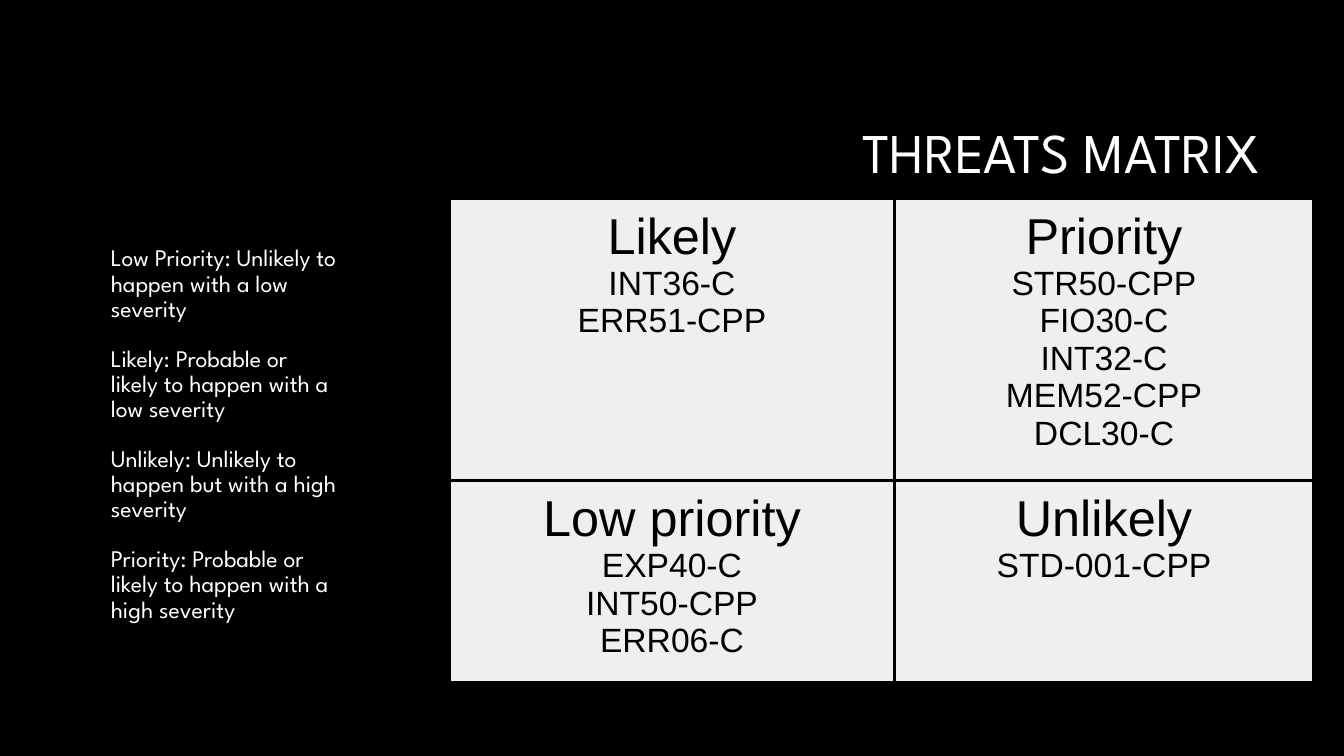
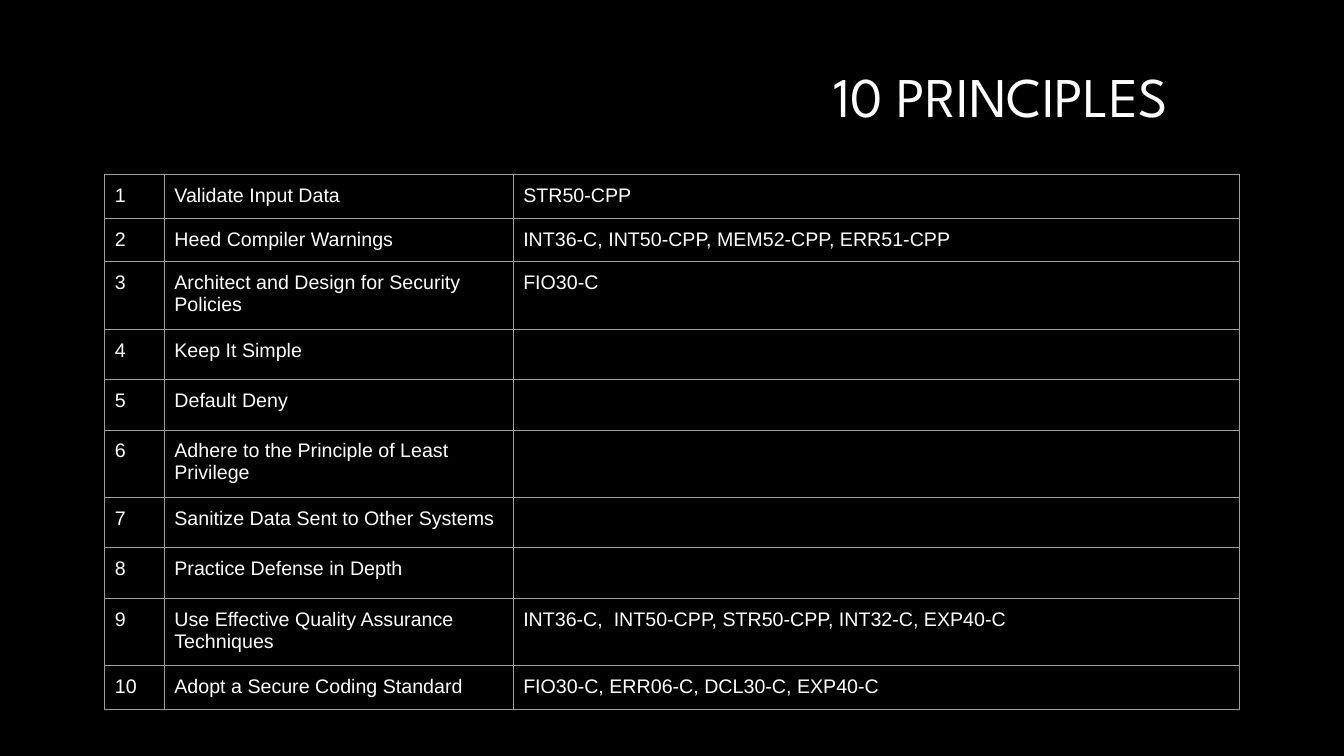
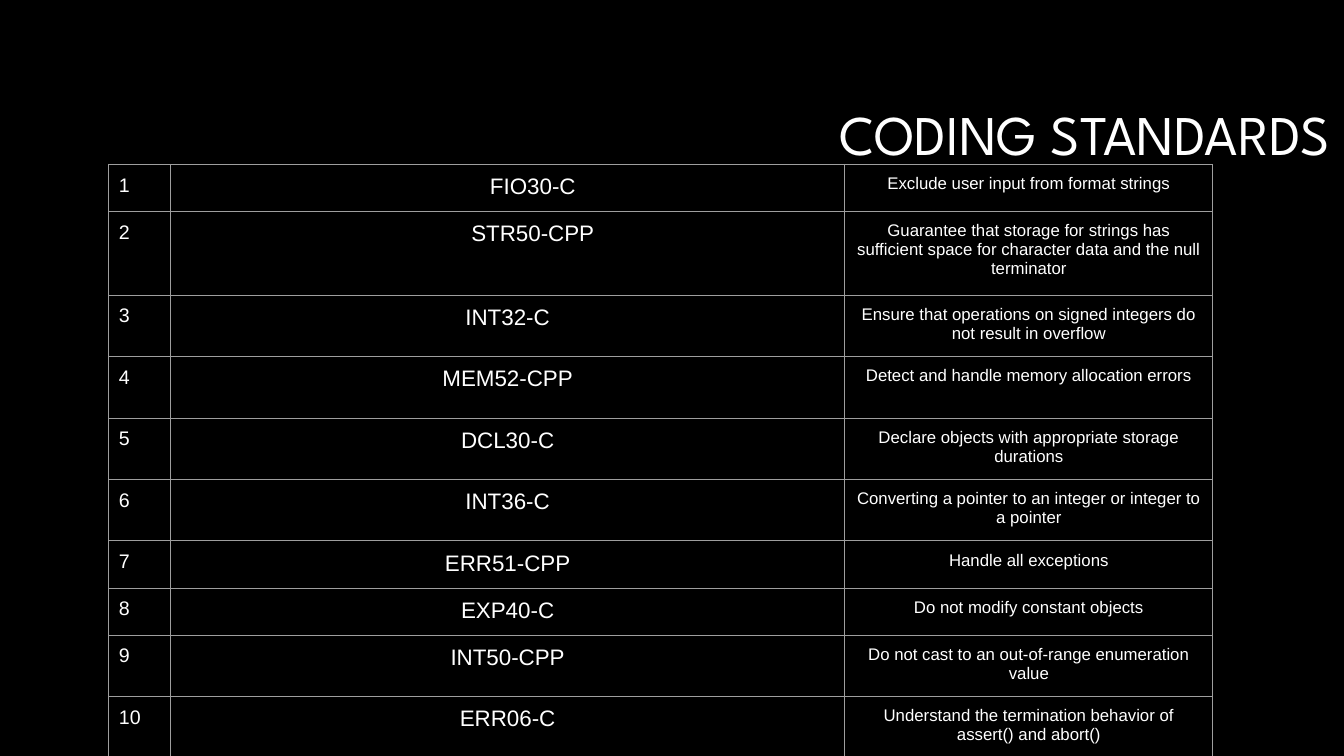
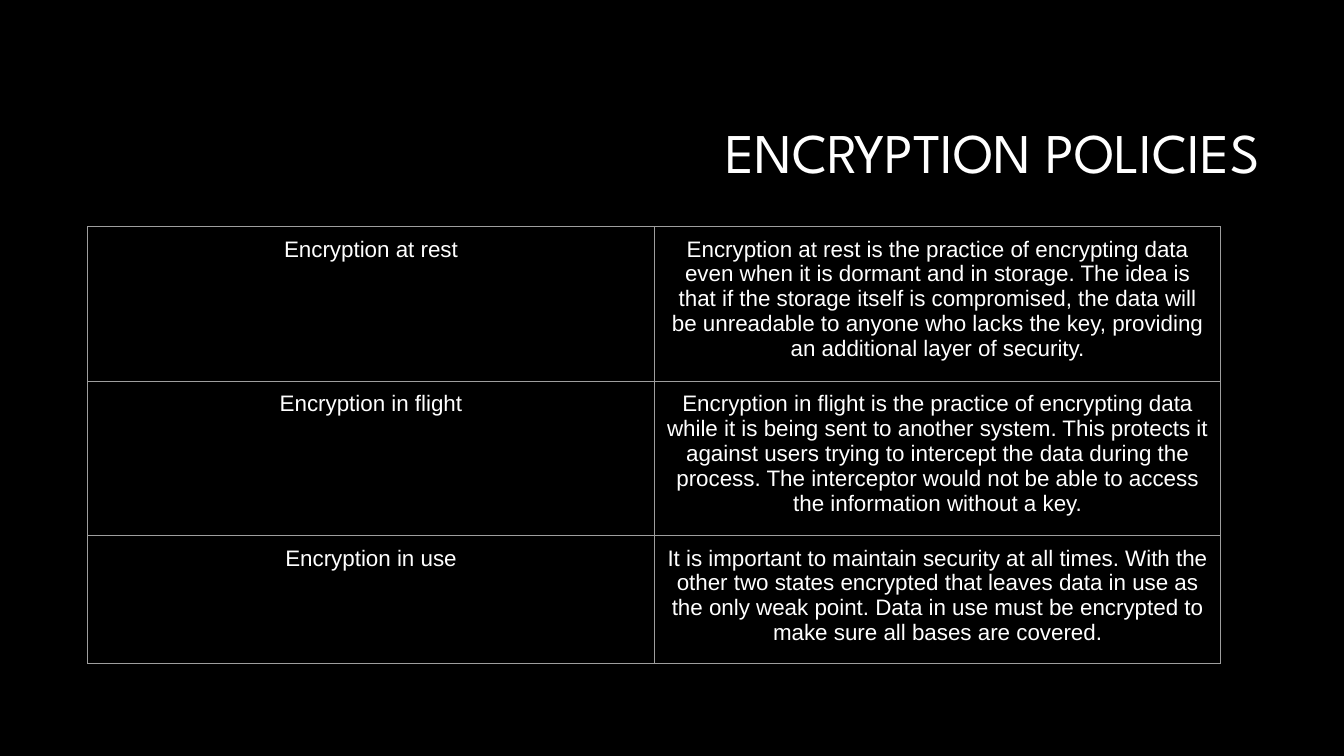
"""Build a four-slide deck on secure coding threats, rules and encryption."""
from dataclasses import dataclass
from typing import Any, Optional, Sequence

import lxml.etree
import pptx
import pptx.dml.color
import pptx.enum.text
import pptx.oxml.ns
import pptx.util

Inches = pptx.util.Inches
LEFT = pptx.enum.text.PP_ALIGN.LEFT
MID = pptx.enum.text.PP_ALIGN.CENTER
RIGHT = pptx.enum.text.PP_ALIGN.RIGHT


@dataclass(frozen=True)
class Theme:
    back: str = "000000"
    ink: str = "FFFFFF"
    tile: str = "EFEFEF"
    rule: str = "9E9E9E"
    display: str = "League Spartan"
    plain: str = "Arial"
    title: int = 40
    head: int = 36
    code: int = 24
    note: int = 17
    cell: int = 16
    small: int = 14
    tiny: int = 12


@dataclass(frozen=True)
class Para:
    text: str
    size: int
    align: Any = LEFT
    indent: float = 0
    font: str = "Arial"
    ink: str = "FFFFFF"
    line: Optional[float] = None
    space: float = 0


@dataclass(frozen=True)
class Grid:
    left: float
    top: float
    cols: Sequence[float]
    rows: Sequence[float]
    fill: str
    rule: str
    weight: float


THEME = Theme()
CELL_PAD = 0.1

NOTES = (
    "Low Priority: Unlikely to happen with a low severity",
    "Likely: Probable or likely to happen with a low severity",
    "Unlikely: Unlikely to happen but with a high severity",
    "Priority: Probable or likely to happen with a high severity",
)
THREATS = (
    (("Likely", "INT36-C", "ERR51-CPP"),
     ("Priority", "STR50-CPP", "FIO30-C", "INT32-C", "MEM52-CPP", "DCL30-C")),
    (("Low priority", "EXP40-C", "INT50-CPP", "ERR06-C"),
     ("Unlikely", "STD-001-CPP")),
)
RULES = (
    ("Validate Input Data", "STR50-CPP"),
    ("Heed Compiler Warnings", "INT36-C, INT50-CPP, MEM52-CPP, ERR51-CPP"),
    ("Architect and Design for Security Policies", "FIO30-C"),
    ("Keep It Simple", ""),
    ("Default Deny", ""),
    ("Adhere to the Principle of Least Privilege", ""),
    ("Sanitize Data Sent to Other Systems", ""),
    ("Practice Defense in Depth", ""),
    ("Use Effective Quality Assurance Techniques",
     "INT36-C,  INT50-CPP, STR50-CPP, INT32-C, EXP40-C"),
    ("Adopt a Secure Coding Standard", "FIO30-C, ERR06-C, DCL30-C, EXP40-C"),
)
CODES = (
    ("FIO30-C", "Exclude user input from format strings"),
    ("STR50-CPP", "Guarantee that storage for strings has sufficient space "
                  "for character data and the null terminator"),
    ("INT32-C", "Ensure that operations on signed integers do not result in overflow"),
    ("MEM52-CPP", "Detect and handle memory allocation errors"),
    ("DCL30-C", "Declare objects with appropriate storage durations"),
    ("INT36-C", "Converting a pointer to an integer or integer to a pointer"),
    ("ERR51-CPP", "Handle all exceptions"),
    ("EXP40-C", "Do not modify constant objects"),
    ("INT50-CPP", "Do not cast to an out-of-range enumeration value"),
    ("ERR06-C", "Understand the termination behavior of assert() and abort()"),
)
STATES = (
    ("Encryption at rest",
     "Encryption at rest is the practice of encrypting data even when it is "
     "dormant and in storage. The idea is that if the storage itself is "
     "compromised, the data will be unreadable to anyone who lacks the key, "
     "providing an additional layer of security."),
    ("Encryption in flight",
     "Encryption in flight is the practice of encrypting data while it is being "
     "sent to another system. This protects it against users trying to intercept "
     "the data during the process. The interceptor would not be able to access "
     "the information without a key."),
    ("Encryption in use",
     "It is important to maintain security at all times. With the other two "
     "states encrypted that leaves data in use as the only weak point. Data in "
     "use must be encrypted to make sure all bases are covered."),
)


def tint(code: str) -> Any:
    return pptx.dml.color.RGBColor.from_string(code)


def write(frame: Any, paras: Sequence[Para]) -> None:
    for i, item in enumerate(paras):
        para = frame.add_paragraph() if i else frame.paragraphs[0]
        para.alignment = item.align
        if item.line:
            para.line_spacing = item.line
        if item.space and i:
            para.space_before = pptx.util.Pt(item.space)
        if item.indent:
            props = para._p.get_or_add_pPr()
            props.set("marL", str(Inches(item.indent)))
            props.set("indent", "0")
        run = para.add_run()
        run.text = item.text
        run.font.size = pptx.util.Pt(item.size)
        run.font.name = item.font
        run.font.color.rgb = tint(item.ink)


def add_text(slide: Any, left: float, top: float, width: float, height: float,
             paras: Sequence[Para]) -> Any:
    box = slide.shapes.add_textbox(
        Inches(left), Inches(top), Inches(width), Inches(height))
    frame = box.text_frame
    frame.word_wrap = True
    write(frame, paras)
    return frame


def add_page(deck: Any, title: str, left: float = 3.17, top: float = 0.84) -> Any:
    slide = deck.slides.add_slide(deck.slide_layouts[6])
    frame = add_text(slide, left, top, 9.42, 1.41, [
        Para(title, THEME.title, RIGHT, font=THEME.display, line=0.9)])
    frame.vertical_anchor = pptx.enum.text.MSO_ANCHOR.MIDDLE
    return slide


def edge(cell: Any, code: str, weight: float) -> None:
    qn = pptx.oxml.ns.qn
    props = cell._tc.get_or_add_tcPr()
    for side in ("a:lnL", "a:lnR", "a:lnT", "a:lnB"):
        line = lxml.etree.SubElement(
            props, qn(side), w=str(pptx.util.Pt(weight)))
        fill = lxml.etree.SubElement(line, qn("a:solidFill"))
        lxml.etree.SubElement(fill, qn("a:srgbClr"), val=code)


def add_grid(slide: Any, grid: Grid,
             cells: Sequence[Sequence[Sequence[Para]]]) -> None:
    table = slide.shapes.add_table(
        len(grid.rows), len(grid.cols), Inches(grid.left), Inches(grid.top),
        Inches(sum(grid.cols)), Inches(sum(grid.rows))).table
    table.first_row = False
    table.horz_banding = False
    for col, width in zip(table.columns, grid.cols):
        col.width = Inches(width)
    for row, height, items in zip(table.rows, grid.rows, cells):
        row.height = Inches(height)
        for cell, paras in zip(row.cells, items):
            cell.margin_left = cell.margin_right = Inches(CELL_PAD)
            cell.margin_top = cell.margin_bottom = Inches(CELL_PAD)
            edge(cell, grid.rule, grid.weight)
            cell.fill.solid()
            cell.fill.fore_color.rgb = tint(grid.fill)
            write(cell.text_frame, paras)


def dark_grid(left: float, top: float, cols: Sequence[float],
              rows: Sequence[float]) -> Grid:
    return Grid(left, top, cols, rows, THEME.back, THEME.rule, 0.75)


def threats(deck: Any) -> None:
    slide = add_page(deck, "THREATS MATRIX")
    add_text(slide, 0.75, 2.4, 2.72, 4.4, [
        Para(note, THEME.note, indent=0.25, font=THEME.display,
             line=0.88, space=17.7) for note in NOTES])
    grid = Grid(4.46, 1.97, (4.41, 4.16), (2.61, 1.93),
                THEME.tile, THEME.back, 2.25)
    add_grid(slide, grid, [
        [[Para(text, THEME.code if i else THEME.head, MID, ink=THEME.back)
          for i, text in enumerate(group)] for group in row]
        for row in THREATS])


def rules(deck: Any) -> None:
    slide = add_page(deck, "10 PRINCIPLES", 2.26, 0.28)
    one, blank, two = 0.42, 0.48, 0.64
    grid = dark_grid(1.04, 1.73, (0.59, 3.46, 7.2), (
        one, one, two, blank, blank, two, blank, blank, two, one))
    add_grid(slide, grid, [
        [[Para(text, THEME.small)] if text else []
         for text in (str(i), *row)] for i, row in enumerate(RULES, 1)])


def codes(deck: Any) -> None:
    slide = add_page(deck, "CODING STANDARDS", 3.87, 0.66)
    one, two, three = 0.46, 0.61, 0.83
    grid = dark_grid(1.08, 1.63, (0.61, 6.69, 3.65), (
        one, three, two, two, two, two, one, one, two, two))
    add_grid(slide, grid, [
        [[Para(str(i), THEME.small)],
         [Para(code, THEME.cell, MID, 0.5 if i <= 2 else 0)],
         [Para(text, THEME.tiny, MID)]]
        for i, (code, text) in enumerate(CODES, 1)])


def states(deck: Any) -> None:
    slide = add_page(deck, "ENCRYPTION POLICIES")
    grid = dark_grid(0.87, 2.25, (5.62, 5.62), (1.44, 1.44, 1.19))
    add_grid(slide, grid, [
        [[Para(text, THEME.cell, MID)] for text in row] for row in STATES])


def main() -> None:
    deck = pptx.Presentation()
    deck.slide_width = Inches(13.33)
    deck.slide_height = Inches(7.5)
    fill = deck.slide_master.background.fill
    fill.solid()
    fill.fore_color.rgb = tint(THEME.back)
    for build in (threats, rules, codes, states):
        build(deck)
    deck.save("out.pptx")


if __name__ == "__main__":
    main()
